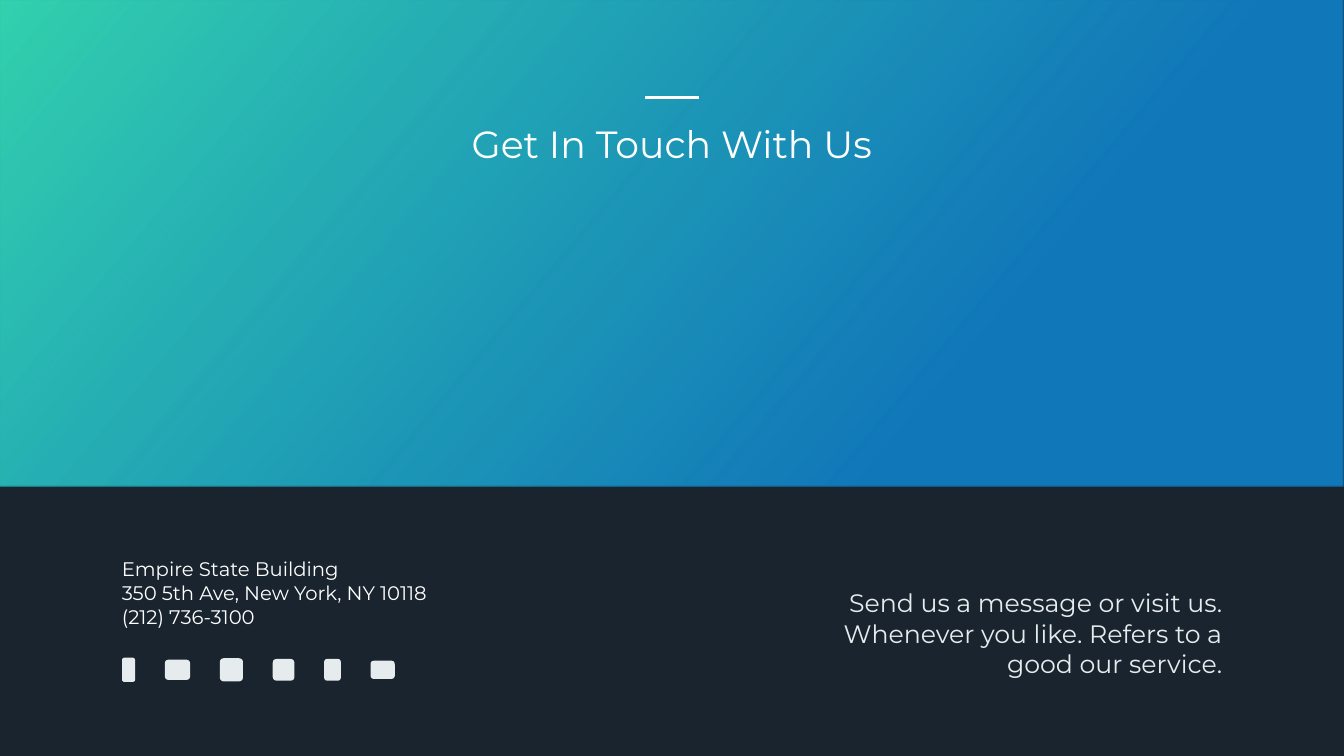
from dataclasses import dataclass

from lxml.etree import SubElement
from pptx import Presentation
from pptx.dml.color import RGBColor
from pptx.enum.shapes import MSO_SHAPE as Kind
from pptx.enum.text import MSO_ANCHOR as Anchor, MSO_AUTO_SIZE as Fit, PP_ALIGN as Align
from pptx.oxml.ns import qn
from pptx.util import Inches, Pt

FONT = "Montserrat"
WHITE, PALE, DARK = "FFFFFF", "E6ECED", "19242F"
GREEN, BLUE = "33D1AD", "0F8BDA"


@dataclass
class Box:
    x: float
    y: float
    w: float
    h: float

    def area(self, x, y, w, h):
        """Box inside this one, given in percent of its size."""
        return Box(self.x + self.w * x / 100, self.y + self.h * y / 100,
                   self.w * w / 100, self.h * h / 100)

    def emu(self):
        return [Inches(n) for n in (self.x, self.y, self.w, self.h)]


def tint(color, code):
    color.rgb = RGBColor.from_string(code)


def block(slide, box, code, kind=Kind.RECTANGLE):
    shape = slide.shapes.add_shape(kind, *box.emu())
    shape.shadow.inherit = False
    shape.line.fill.background()
    shape.fill.solid()
    tint(shape.fill.fore_color, code)
    return shape


def write(shape, lines, size, code, align=Align.LEFT, wrap=True):
    frame = shape.text_frame
    frame.text = "\n".join(lines)
    frame.word_wrap = wrap
    frame.auto_size = Fit.SHAPE_TO_FIT_TEXT
    frame.vertical_anchor = Anchor.TOP
    for para in frame.paragraphs:
        para.alignment = align
        para.font.name = FONT
        para.font.size = Pt(size)
        tint(para.font.color, code)


def hero(slide, box):
    # Gradient panel, green to translucent blue
    panel = block(slide, box, GREEN)
    panel.fill.gradient()
    panel.fill.gradient_angle = 320
    first, last = panel.fill.gradient_stops
    first.position, last.position = 0, 0.73
    tint(first.color, GREEN)
    tint(last.color, BLUE)
    stops = panel._element.spPr.findall(".//" + qn("a:srgbClr"))
    SubElement(stops[-1], qn("a:alpha"), val="80000")

    # Short rule above the title
    block(slide, box.area(48, 19.77, 4, 0.52), WHITE)

    # Title, raised above the panel
    title = slide.shapes.title
    title.left, title.top, title.width, title.height = box.area(
        28.28, 24.22, 43.4, 10.46).emu()
    write(title, ["Get In Touch With Us"], 54, WHITE, Align.CENTER)
    slide.shapes._spTree.append(title._element)


def icons(slide, box):
    # Plain marks with equal gaps, centred on one line
    x, mid, gap = box.x, box.y + box.h / 2, 0.59
    sizes = [(0.26, 0.48), (0.5, 0.4), (0.46, 0.46),
             (0.43, 0.43), (0.33, 0.43), (0.48, 0.36)]
    for w, h in sizes:
        block(slide, Box(x, mid - h / 2, w, h), PALE, Kind.ROUNDED_RECTANGLE)
        x += w + gap


def footer(slide, box):
    # Address on the left
    place = slide.shapes.add_textbox(*box.area(8.7, 25.28, 23.86, 28.28).emu())
    write(place, ["Empire State Building", "350 5th Ave, New York, NY 10118",
                  "(212) 736-3100"], 28, WHITE, wrap=False)
    icons(slide, box.area(9.08, 63.48, 20.26, 9))

    # Message on the right
    note = slide.shapes.add_textbox(*box.area(61.89, 36.52, 29.41, 35.96).emu())
    write(note, ["Send us a message or visit us. Whenever you like. "
                 "Refers to a good our service."], 36, PALE, Align.RIGHT)


def main():
    deck = Presentation()
    page = Box(0, 0, 26.66, 15)
    deck.slide_width, deck.slide_height = page.emu()[2:]
    slide = deck.slides.add_slide(deck.slide_layouts[5])
    slide.background.fill.solid()
    tint(slide.background.fill.fore_color, DARK)
    hero(slide, page.area(0, 0, 100, 64.4))
    footer(slide, page.area(0, 64.4, 100, 35.6))
    deck.save("out.pptx")


if __name__ == "__main__":
    main()
